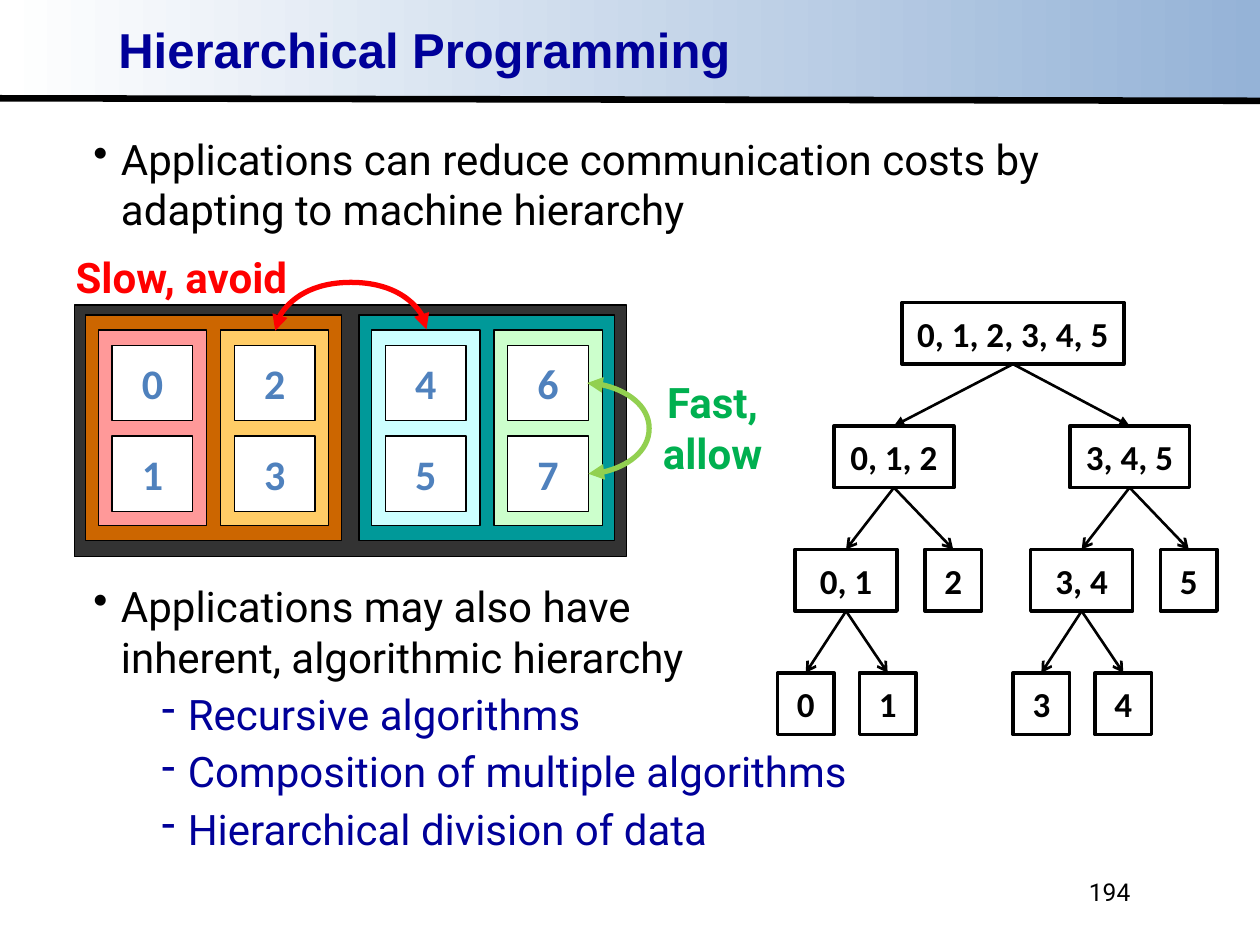
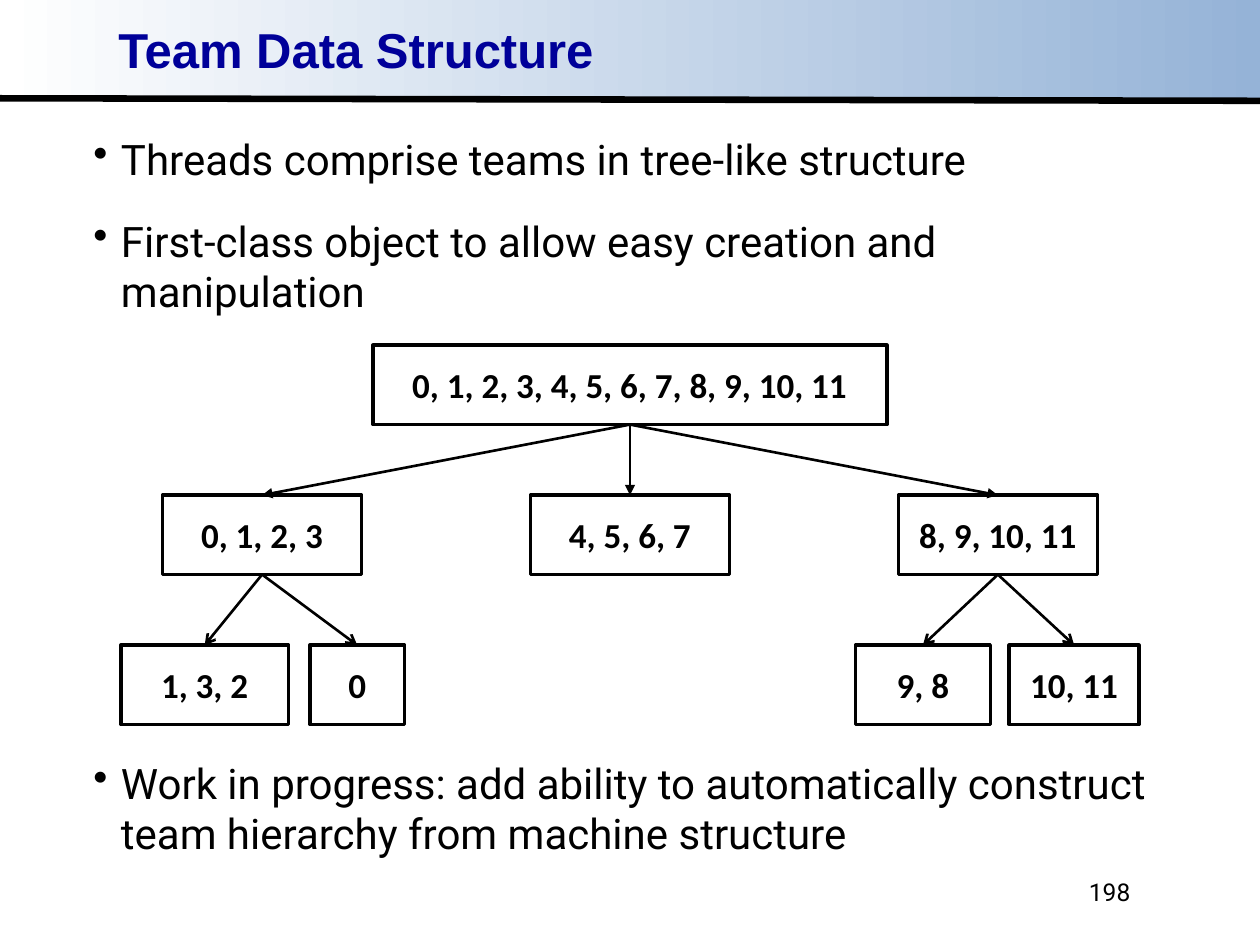
from dataclasses import dataclass

from lxml.etree import SubElement
from pptx import Presentation
from pptx.dml.color import RGBColor
from pptx.enum.shapes import MSO_CONNECTOR, MSO_SHAPE
from pptx.enum.text import MSO_ANCHOR, PP_ALIGN
from pptx.oxml.ns import qn
from pptx.util import Inches, Pt

COLORS = {
    "ink": "000000", "navy": "000099", "band": "95B3D7", "white": "FFFFFF",
    "digit": "4F81BD", "slow": "FF0000", "fast": "00B050", "fast_arc": "92D050",
    "machine": "333333", "orange_node": "CC6600", "teal_node": "009999",
    "pink": "FF9999", "amber": "FFCC66", "cyan": "CCFFFF", "mint": "CCFFCC",
}
LEVELS = [("•", 0.22, -0.22, "ink"), ("-", 0.75, -0.21, "navy")]


@dataclass
class Team:
    members: str
    left: float
    width: float
    children: tuple = ()


def color(name):
    return RGBColor.from_string(COLORS[name])


def set_font(para, size, name, ink, bold=False):
    font = para.font
    font.size, font.name, font.bold = Pt(size), name, bold
    font.color.rgb = color(ink)


def add_text(page, left, top, width, height, text, size, name, ink, bold=False,
             align=PP_ALIGN.CENTER):
    box = page.shapes.add_textbox(Inches(left), Inches(top), Inches(width), Inches(height))
    box.text_frame.word_wrap = True
    para = box.text_frame.paragraphs[0]
    para.text, para.alignment = text, align
    set_font(para, size, name, ink, bold)
    return box


def set_small_margins(frame):
    frame.margin_left = frame.margin_right = Inches(0.07)
    frame.margin_top = frame.margin_bottom = Inches(0.03)


def add_bullets(page, top, height, items, gap=4):
    box = page.shapes.add_textbox(Inches(0.67), Inches(top), Inches(8.75), Inches(height))
    frame = box.text_frame
    frame.word_wrap = True
    set_small_margins(frame)
    for index, (level, text) in enumerate(items):
        para = frame.add_paragraph() if index else frame.paragraphs[0]
        para.text = text
        mark, margin, indent, ink = LEVELS[level]
        properties = para._p.get_or_add_pPr()
        properties.set("marL", str(Inches(margin)))
        properties.set("indent", str(Inches(indent)))
        para.level = level
        para.space_before = Pt(gap if index else 0)
        SubElement(properties, qn("a:buChar"), char=mark)
        set_font(para, 24, "Roboto", ink)


def add_rect(page, left, top, width, height, fill=None, line_width=0.75):
    rect = page.shapes.add_shape(MSO_SHAPE.RECTANGLE, Inches(left), Inches(top),
                                 Inches(width), Inches(height))
    rect.shadow.inherit = False
    if fill:
        rect.fill.solid()
        rect.fill.fore_color.rgb = color(fill)
    else:
        rect.fill.background()
    rect.line.color.rgb = color("ink")
    rect.line.width = Pt(line_width)
    return rect


def write_in(rect, text, size, ink, wrap=True):
    frame = rect.text_frame
    frame.word_wrap = wrap
    frame.vertical_anchor = MSO_ANCHOR.MIDDLE
    para = frame.paragraphs[0]
    para.text, para.alignment = text, PP_ALIGN.CENTER
    set_font(para, size, "Calibri", ink, True)


def add_line(page, start, end, width, ink="ink", head=None, tail=None,
             kind=MSO_CONNECTOR.STRAIGHT):
    points = [Inches(value) for value in (*start, *end)]
    line = page.shapes.add_connector(kind, *points)
    line.line.color.rgb = color(ink)
    line.line.width = Pt(width)
    properties = line._element.spPr
    outline = properties.find(qn("a:ln"))
    for tag, arrow in (("a:headEnd", head), ("a:tailEnd", tail)):
        if arrow:
            SubElement(outline, qn(tag), type=arrow)
    SubElement(properties, qn("a:effectLst"))
    return line


def add_arc(page, start, end, bulge, ink, quarter_turns=0):
    arc = add_line(page, start, end, 3, ink, "triangle", "triangle", MSO_CONNECTOR.CURVE)
    properties = arc._element.spPr
    properties.find(qn("a:xfrm")).set("rot", str(quarter_turns * 5400000))
    guides = properties.find(qn("a:prstGeom")).get_or_add_avLst()
    ratio = round(bulge / abs(end[0] - start[0]) * 100000)
    SubElement(guides, qn("a:gd"), name="adj1", fmla=f"val {ratio}")


def add_tree(page, team, top, step, height, depth=0):
    rect = add_rect(page, team.left, top, team.width, height, line_width=2)
    write_in(rect, team.members, 20, "ink")
    for child in team.children:
        child_rect = add_tree(page, child, top + step, step, height, depth + 1)
        arrow = add_line(page, (team.left, top), (child.left, top + step), 1.5,
                         tail="arrow" if depth else "triangle")
        arrow.begin_connect(rect, 2)
        arrow.end_connect(child_rect, 0)
    return rect


def add_machine(page):
    add_rect(page, 0.59, 2.42, 4.38, 2, "machine")
    nodes = [("orange_node", ("pink", "amber")), ("teal_node", ("cyan", "mint"))]
    for node, (node_fill, socket_fills) in enumerate(nodes):
        node_left = 0.68 + 2.17 * node
        add_rect(page, node_left, 2.5, 2.03, 1.79, node_fill)
        for socket, socket_fill in enumerate(socket_fills):
            socket_left = node_left + 0.1 + 0.97 * socket
            add_rect(page, socket_left, 2.62, 0.86, 1.55, socket_fill)
            for core in range(2):
                rect = add_rect(page, socket_left + 0.11, 2.74 + 0.72 * core, 0.64, 0.6, "white")
                write_in(rect, str(4 * node + 2 * socket + core), 24, "digit", wrap=False)


def half_team(first, left):
    a, b, c = first, first + 1, first + 2
    pair = Team(f"{a}, {b}", left + 0.14, 0.81,
                (Team(str(a), left, 0.45), Team(str(b), left + 0.65, 0.45)))
    return Team(f"{a}, {b}, {c}", left + 0.45, 0.95,
                (pair, Team(str(c), left + 1.17, 0.45)))


def add_page(deck, title, number):
    page = deck.slides.add_slide(deck.slide_layouts[6])
    band = add_rect(page, 0, 0, 10, 0.8)
    band.line.fill.background()
    band.fill.gradient()
    band.fill.gradient_angle = 180
    for stop, name in zip(band.fill.gradient_stops, ("band", "white")):
        stop.color.rgb = color(name)
    add_line(page, (0, 0.78), (10, 0.8), 3.75)
    heading = add_text(page, 0.87, 0.19, 8.54, 0.46, title, 28, "Arial", "navy", True,
                       PP_ALIGN.LEFT)
    set_small_margins(heading.text_frame)
    heading.text_frame.paragraphs[0].line_spacing = 0.87
    footer = add_text(page, 7.17, 6.83, 1.9, 0.5, number, 14, "Roboto", "ink",
                      align=PP_ALIGN.RIGHT)
    footer.text_frame.word_wrap = False
    footer.text_frame.vertical_anchor = MSO_ANCHOR.MIDDLE
    return page


def add_hierarchy_page(deck):
    page = add_page(deck, "Hierarchical Programming", "194")
    add_bullets(page, 1.03, 0.9, [
        (0, "Applications can reduce communication costs by adapting to machine hierarchy")])
    add_bullets(page, 4.58, 2.3, [
        (0, "Applications may also have\vinherent, algorithmic hierarchy"),
        (1, "Recursive algorithms"),
        (1, "Composition of multiple algorithms"),
        (1, "Hierarchical division of data")])
    add_machine(page)
    add_arc(page, (4.66, 3.04), (4.67, 3.76), 0.5, "fast_arc")
    add_arc(page, (2.79, 3.22), (2.78, 2.02), 0.39, "slow", quarter_turns=1)
    add_text(page, 0.48, 1.95, 1.92, 0.5, "Slow, avoid", 24, "Roboto", "slow", True)
    add_text(page, 5.14, 2.94, 1.03, 0.91, "Fast, allow", 24, "Roboto", "fast", True)
    root = Team("0, 1, 2, 3, 4, 5", 7.16, 1.76, (half_team(0, 6.17), half_team(3, 8.04)))
    add_tree(page, root, 2.4, 0.98, 0.49)


def add_team_page(deck):
    page = add_page(deck, "Team Data Structure", "198")
    add_bullets(page, 1.03, 1.5, [
        (0, "Threads comprise teams in tree-like structure"),
        (0, "First-class object to allow easy creation and manipulation")], gap=18)
    add_bullets(page, 5.98, 0.9, [
        (0, "Work in progress: add ability to automatically construct "
            "team hierarchy from machine structure")])
    root = Team("0, 1, 2, 3, 4, 5, 6, 7, 8, 9, 10, 11", 2.96, 4.08, (
        Team("0, 1, 2, 3", 1.29, 1.58, (Team("1, 3, 2", 0.96, 1.33), Team("0", 2.46, 0.75))),
        Team("4, 5, 6, 7", 4.21, 1.58),
        Team("8, 9, 10, 11", 7.13, 1.58, (Team("9, 8", 6.79, 1.07), Team("10, 11", 8.01, 1.03)))))
    add_tree(page, root, 2.74, 1.19, 0.63)


def main():
    deck = Presentation()
    deck.slide_width, deck.slide_height = Inches(10), Inches(7.5)
    add_hierarchy_page(deck)
    add_team_page(deck)
    deck.save("out.pptx")


if __name__ == "__main__":
    main()
